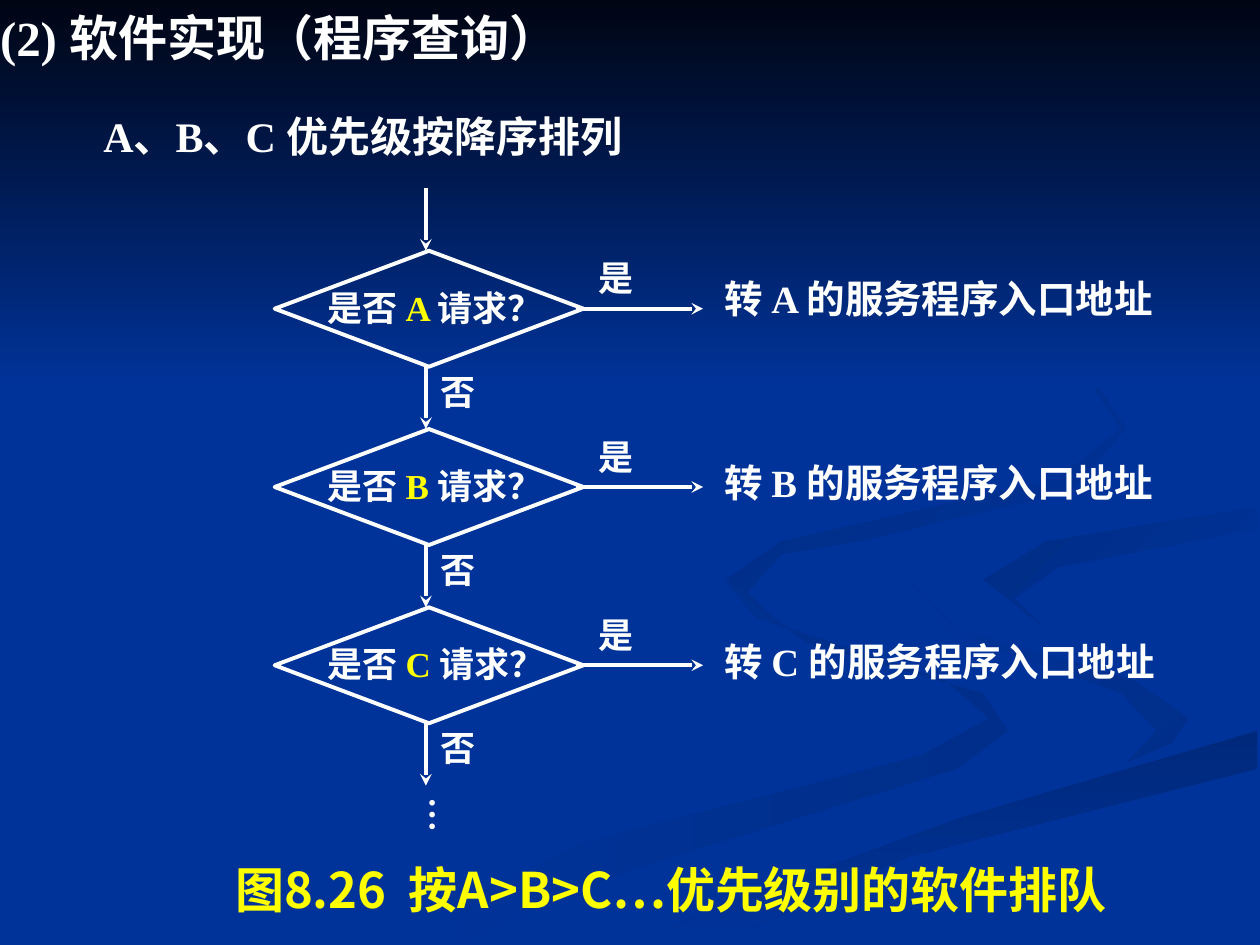
from lxml.etree import SubElement
from pptx import Presentation
from pptx.dml.color import RGBColor
from pptx.enum.shapes import MSO_CONNECTOR, MSO_SHAPE
from pptx.enum.text import MSO_ANCHOR, MSO_AUTO_SIZE, PP_ALIGN
from pptx.oxml.ns import qn
from pptx.util import Inches, Pt

COLORS = {"white": "FFFFFF", "yellow": "FFFF00", "blue": "003399", "night": "000514",
          "wave": "002E8A", "deep": "00297C", "dusk": "002C85", "dark": "002B81"}
LATIN, HAN = "Times New Roman", "Noto Sans CJK SC"
PAD = (0.1, 0.05, 0.1, 0.05)
FLAT = (0, 0.05, 0, 0.05)

WAVES = [
    (("wave", "blue", 180), [
        (7.8, 5.5), (6.4, 5.1), (5.75, 4.6), (6, 4.9), (7.5, 5.4), (7.85, 5.7),
        (7.3, 6), (4.6, 6.7), (3, 7.49), (3.6, 7.49), (5, 6.9), (7.6, 6.1), (8, 5.8)]),
    (("wave", "blue", 135), [
        (9.43, 5.7), (9, 5.4), (7.6, 5), (7.24, 4.64), (7.5, 5), (8.9, 5.5),
        (9.18, 5.8), (8.94, 6.05), (9.3, 5.9)]),
    (("deep", "blue", 270), [
        (5.03, 7.49), (5.7, 7.49), (7.2, 6.8), (9.98, 6.1), (9.98, 5.8), (7.6, 6.5),
        (5.7, 7.2)]),
    (("blue", "dusk", 135), [
        (7.81, 4.6), (8.26, 4.96), (8.05, 4.75), (8.4, 4.5), (9.98, 4.2), (9.98, 4.02),
        (8.3, 4.3)]),
    (("blue", "dark", 135), [
        (6.8, 4.3), (8.5, 3.9), (8.94, 3.4), (8.6, 2.9), (7.62, 2.33), (8.5, 2.8),
        (8.89, 3.4), (8.4, 3.8), (6.2, 4.3), (5.77, 4.6), (6.22, 5), (5.93, 4.7),
        (6.2, 4.4)]),
]


def tint(name):
    return RGBColor.from_string(COLORS[name])


class Board:
    def __init__(self, deck):
        self.slide = deck.slides.add_slide(deck.slide_layouts[5])
        self.shapes = self.slide.shapes
        back = self.slide.background.fill
        back.solid()
        back.fore_color.rgb = tint("blue")

    def paint(self, shape, start, end, angle):
        shape.shadow.inherit = False
        shape.line.fill.background()
        shape.fill.gradient()
        shape.fill.gradient_angle = angle
        for stop, name, place in zip(shape.fill.gradient_stops, (start, end), (0, 1)):
            stop.color.rgb = tint(name)
            stop.position = place

    def wave(self, style, points):
        first, *rest = [(Inches(x), Inches(y)) for x, y in points]
        form = self.shapes.build_freeform(*first)
        form.add_line_segments(rest, close=True)
        self.paint(form.convert_to_shape(), *style)

    def band(self, box, *style):
        self.paint(self.shapes.add_shape(MSO_SHAPE.RECTANGLE, *map(Inches, box)), *style)

    def fill(self, shape, runs, size, font=LATIN, pads=PAD, align=PP_ALIGN.LEFT,
             anchor=MSO_ANCHOR.TOP, wrap=True, space=None):
        frame = shape.text_frame
        frame.auto_size = MSO_AUTO_SIZE.NONE
        frame.word_wrap = wrap
        frame.vertical_anchor = anchor
        frame.margin_left, frame.margin_top, frame.margin_right, frame.margin_bottom = map(Inches, pads)
        para = frame.paragraphs[0]
        para.alignment = align
        para.space_before = Pt(0)
        if space:
            para.line_spacing = space
        for words, color in runs:
            run = para.add_run()
            run.text = words
            run.font.size = Pt(size)
            run.font.bold = True
            run.font.color.rgb = tint(color)
            run.font.name = font
            SubElement(run.font._element, qn("a:ea"), typeface=HAN)

    def text(self, box, runs, size, **style):
        shape = self.shapes.add_textbox(*map(Inches, box))
        self.fill(shape, runs, size, **style)
        return shape

    def title(self, box, runs, size, **style):
        shape = self.shapes.title
        shape.left, shape.top, shape.width, shape.height = map(Inches, box)
        shape.element.getparent().append(shape.element)
        self.fill(shape, runs, size, **style)

    def arrow(self, *ends):
        link = self.shapes.add_connector(MSO_CONNECTOR.STRAIGHT, *map(Inches, ends))
        link.line.color.rgb = tint("white")
        link.line.width = Pt(2.25)
        props = link.element.spPr
        SubElement(props.find(qn("a:ln")), qn("a:tailEnd"), type="stealth")
        SubElement(props, qn("a:effectLst"))

    def diamond(self, *box):
        shape = self.shapes.add_shape(MSO_SHAPE.DIAMOND, *map(Inches, box))
        shape.shadow.inherit = False
        shape.fill.background()
        shape.line.color.rgb = tint("white")
        shape.line.width = Pt(2.25)


def main():
    deck = Presentation()
    deck.slide_width, deck.slide_height = Inches(10), Inches(7.5)
    board = Board(deck)
    for style, points in WAVES:
        board.wave(style, points)
    board.band((0, 0, 10, 3.08), "night", "blue", 270)

    board.title((0, 0, 8.08, 0.58), [("(2) 软件实现（程序查询）", "white")], 28,
                pads=FLAT, anchor=MSO_ANCHOR.MIDDLE)
    board.text((0.82, 0.79, 5.83, 0.58), [("A、B、C 优先级按降序排列", "white")], 24,
               pads=FLAT, anchor=MSO_ANCHOR.MIDDLE)

    step = 1.415
    for i in range(4):
        top = 1.49 + i * step
        board.arrow(3.38, top, 3.38, top + 0.5)
    for i, (name, goal) in enumerate(zip("ABC", (2.19, 3.65, 5.07))):
        top = 1.99 + i * step
        board.diamond(2.18, top, 2.45, 0.92)
        board.text((2.6, top + 0.28, 2.2, 0.39),
                   [("是否 ", "white"), (name + " ", "yellow"), ("请求？", "white")], 20,
                   pads=(0, 0, 0.1, 0.05))
        board.arrow(4.57, top + 0.46, 5.58, top + 0.46)
        board.text((4.65, top, 0.68, 0.44), [("是", "white")], 20)
        board.text((3.4, top + 0.9, 0.68, 0.44), [("否", "white")], 20)
        board.text((5.65, goal, 3.89, 0.41), [(f"转 {name} 的服务程序入口地址", "white")], 22,
                   space=0.85)

    dots = board.text((3.21, 6.23, 0.53, 0.38), [("…", "white")], 20,
                      pads=(0.05, 0.1, 0.05, 0.1), wrap=False)
    dots.text_frame._txBody.bodyPr.set("vert", "eaVert")
    board.text((1.06, 6.77, 8.53, 0.57), [("图8.26  按A>B>C…优先级别的软件排队", "yellow")], 28,
               font=HAN, align=PP_ALIGN.CENTER)
    deck.save("out.pptx")


if __name__ == "__main__":
    main()
